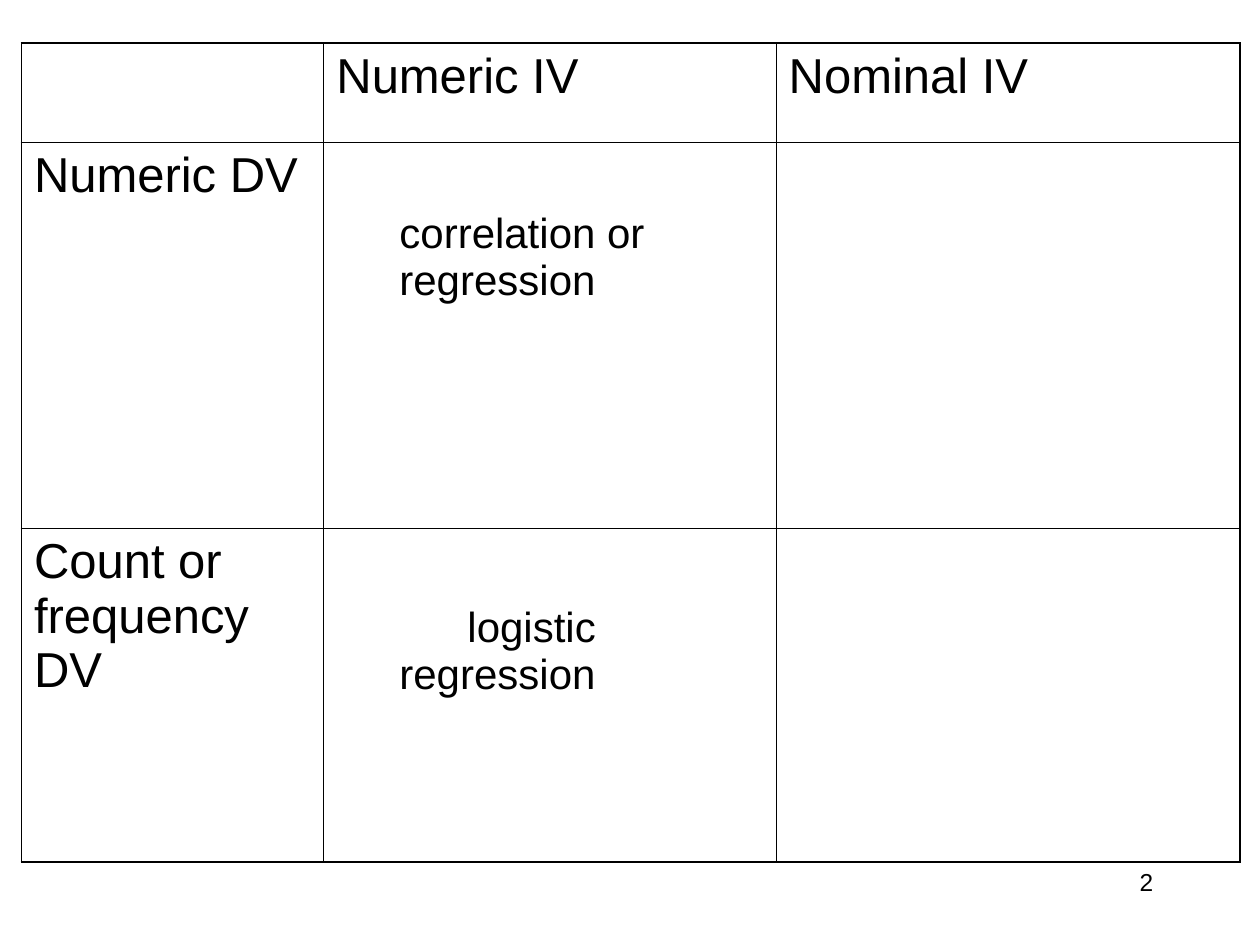
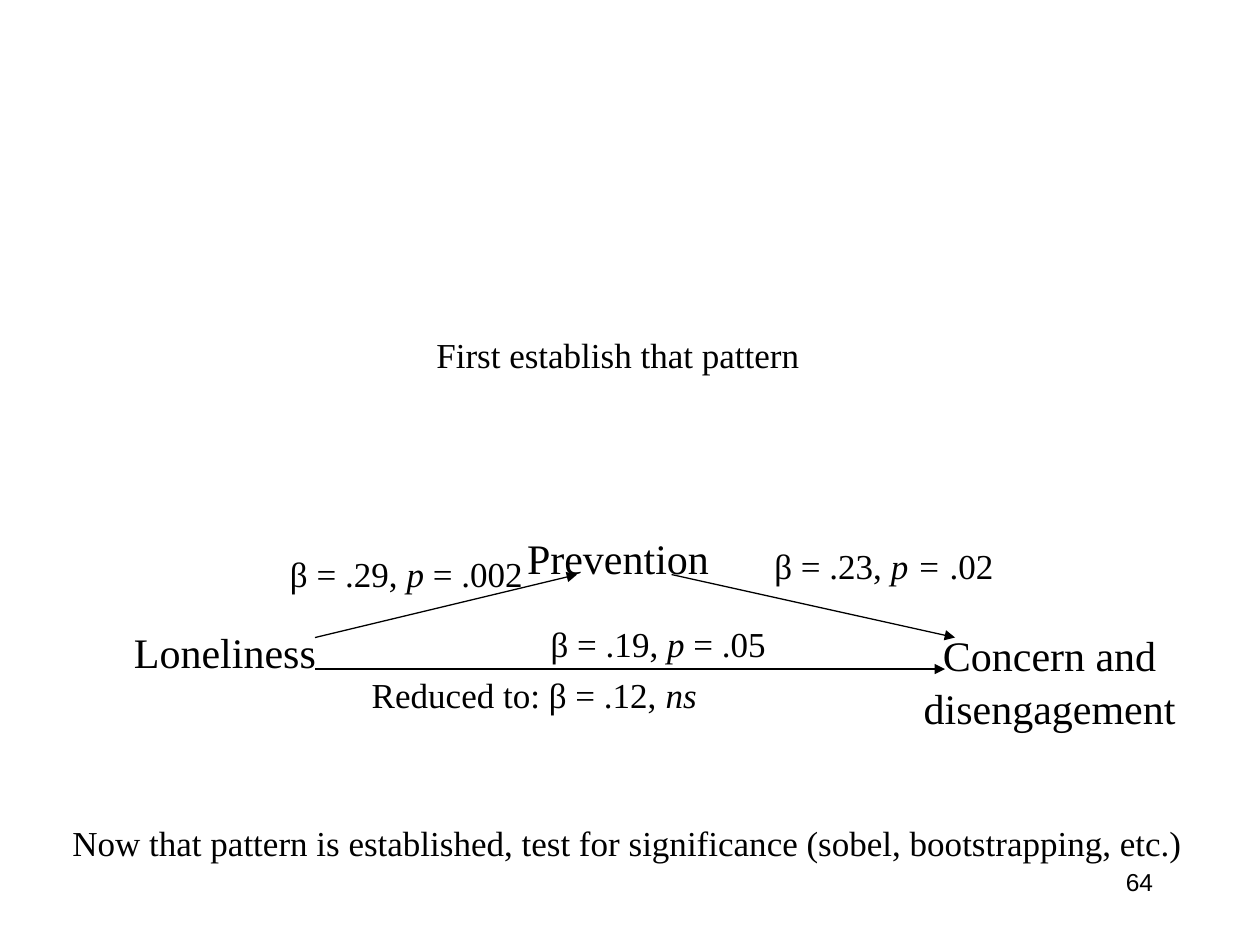
"""Build two statistics slides: a test-choice table and a mediation diagram."""
from dataclasses import dataclass

from lxml import etree
from pptx import Presentation
from pptx.dml.color import RGBColor
from pptx.enum.shapes import MSO_CONNECTOR
from pptx.enum.text import MSO_ANCHOR, PP_ALIGN
from pptx.oxml.ns import qn
from pptx.slide import Slide
from pptx.table import _Cell
from pptx.util import Emu, Pt

EMU_PER_PX = 9144
BLANK_LAYOUT = 6
STRAIGHT = MSO_CONNECTOR.STRAIGHT
TOP = MSO_ANCHOR.TOP
LEFT, CENTER, RIGHT = PP_ALIGN.LEFT, PP_ALIGN.CENTER, PP_ALIGN.RIGHT


@dataclass(frozen=True)
class Theme:
    """Colours, fonts, type sizes and line widths of the deck."""

    ink: str = "000000"
    paper: str = "FFFFFF"
    sans: str = "Arial"
    serif: str = "Times New Roman"
    heading: int = 28
    body: int = 24
    label: int = 20
    footer: int = 14
    serif_leading: float = 1.06
    arrow: float = 0.75
    inner_rule: float = 0.45
    outer_rule: float = 1.08


THEME = Theme()


@dataclass(frozen=True)
class Caption:
    """A text block; parts between asterisks are italic."""

    text: str
    left: int
    top: int
    width: int
    height: int = 44
    size: int = THEME.label
    font: str = THEME.serif
    align: PP_ALIGN = CENTER
    leading: float = THEME.serif_leading


@dataclass(frozen=True)
class Effect:
    """An arrow from one variable to another."""

    start: tuple[int, int]
    end: tuple[int, int]


@dataclass(frozen=True)
class Entry:
    """The content of one table cell."""

    text: str = ""
    size: int = THEME.heading
    margin_top: int = 5
    margin_left: int = 10
    first_indent: int = 0


COLUMN_WIDTHS = (240, 359, 368)
ROW_HEIGHTS = (79, 306, 265)
TEST_CHOICE = (
    (Entry(), Entry("Numeric IV"), Entry("Nominal IV")),
    (Entry("Numeric DV"),
     Entry("correlation or regression", THEME.body, 54, 60), Entry()),
    (Entry("Count or frequency DV"),
     Entry("logistic regression", THEME.body, 61, 60, 54), Entry()),
)

MEDIATION = (
    Caption("Prevention", 393, 415, 195, 50, THEME.body),
    Caption("Concern and disengagement", 717, 492, 232, 130, THEME.body),
    Caption("Loneliness", 84, 490, 189, 50, THEME.body),
    Caption("β = .29, *p* = .002", 213, 432, 219),
    Caption("Reduced to: β = .12, *ns*", 269, 528, 310),
    Caption("Now that pattern is established, test for significance "
            "(sobel, bootstrapping, etc.)", 0, 645, 996),
    Caption("β = .19, *p* = .05", 421, 487, 203),
    Caption("β = .23, *p = *.02", 600, 425, 203),
    Caption("First establish that pattern", 305, 258, 371),
)
EFFECTS = (
    Effect((250, 531), (750, 531)),
    Effect((250, 506), (458, 456)),
    Effect((533, 456), (758, 506)),
)


def px(length: int) -> Emu:
    """Turn px into EMU."""
    return Emu(length * EMU_PER_PX)


def apply(target: object, formats: dict[str, object]) -> None:
    """Set every attribute named in the formats."""
    for attribute, value in formats.items():
        setattr(target, attribute, value)


def write(paragraph, text: str, size: int, font: str) -> None:
    """Write text as runs, italic between asterisks."""
    for index, part in enumerate(text.split("*")):
        if part:
            run = paragraph.add_run()
            run.text = part
            apply(run.font, {"size": Pt(size), "name": font,
                             "italic": index % 2 == 1})
            run.font.color.rgb = RGBColor.from_string(THEME.ink)


def draw_caption(slide: Slide, caption: Caption) -> None:
    """Draw a text block."""
    frame = slide.shapes.add_textbox(
        px(caption.left), px(caption.top),
        px(caption.width), px(caption.height)).text_frame
    apply(frame, {"word_wrap": True, "vertical_anchor": TOP})
    paragraph = frame.paragraphs[0]
    apply(paragraph, {"alignment": caption.align,
                      "line_spacing": caption.leading})
    write(paragraph, caption.text, caption.size, caption.font)


def draw_page_number(slide: Slide, number: int) -> None:
    """Draw the page number at the lower right."""
    draw_caption(slide, Caption(str(number), 717, 683, 208, 50, THEME.footer,
                                THEME.sans, RIGHT, 1.0))


def draw_effect(slide: Slide, effect: Effect) -> None:
    """Draw an arrow with a triangular head."""
    arrow = slide.shapes.add_connector(
        STRAIGHT, *map(px, effect.start), *map(px, effect.end))
    arrow.line.width = Pt(THEME.arrow)
    arrow.line.color.rgb = RGBColor.from_string(THEME.ink)
    etree.SubElement(arrow.line._get_or_add_ln(), qn("a:tailEnd"),
                     type="triangle")
    etree.SubElement(arrow._element.spPr, qn("a:effectLst"))


def rule_cell(cell: _Cell, outer_sides: dict[str, bool]) -> None:
    """Rule the four sides of a cell, heavier on the outside."""
    properties = cell._tc.get_or_add_tcPr()
    for position, (side, is_outer) in enumerate(outer_sides.items()):
        width = THEME.outer_rule if is_outer else THEME.inner_rule
        border = etree.Element(qn(f"a:ln{side}"), w=str(Pt(width)))
        fill = etree.SubElement(border, qn("a:solidFill"))
        etree.SubElement(fill, qn("a:srgbClr"), val=THEME.ink)
        properties.insert(position, border)


def fill_cell(cell: _Cell, entry: Entry) -> None:
    """Write an entry into its cell."""
    cell.fill.solid()
    cell.fill.fore_color.rgb = RGBColor.from_string(THEME.paper)
    apply(cell, {"margin_left": px(entry.margin_left), "margin_right": px(10),
                 "margin_top": px(entry.margin_top), "margin_bottom": px(5),
                 "vertical_anchor": TOP})
    paragraph = cell.text_frame.paragraphs[0]
    paragraph.alignment = LEFT
    if entry.first_indent:
        paragraph._p.get_or_add_pPr().set("indent", str(px(entry.first_indent)))
    write(paragraph, entry.text, entry.size, THEME.sans)


def draw_test_choice(slide: Slide) -> None:
    """Draw the table of tests by variable type."""
    last_row, last_column = len(ROW_HEIGHTS) - 1, len(COLUMN_WIDTHS) - 1
    table = slide.shapes.add_table(
        len(ROW_HEIGHTS), len(COLUMN_WIDTHS), px(17), px(34),
        px(sum(COLUMN_WIDTHS)), px(sum(ROW_HEIGHTS))).table
    apply(table, {"first_row": False, "horz_banding": False})
    for column, width in zip(table.columns, COLUMN_WIDTHS):
        column.width = px(width)
    for row, height in zip(table.rows, ROW_HEIGHTS):
        row.height = px(height)
    for r, entries in enumerate(TEST_CHOICE):
        for c, entry in enumerate(entries):
            cell = table.cell(r, c)
            fill_cell(cell, entry)
            rule_cell(cell, {"L": c == 0, "R": c == last_column,
                             "T": r == 0, "B": r == last_row})


def main() -> None:
    """Build and save the deck."""
    deck = Presentation()
    apply(deck, {"slide_width": px(1000), "slide_height": px(750)})
    blank = deck.slide_layouts[BLANK_LAYOUT]

    choice = deck.slides.add_slide(blank)
    draw_test_choice(choice)
    draw_page_number(choice, 2)

    mediation = deck.slides.add_slide(blank)
    for effect in EFFECTS:
        draw_effect(mediation, effect)
    for caption in MEDIATION:
        draw_caption(mediation, caption)
    draw_page_number(mediation, 64)

    deck.save("out.pptx")


if __name__ == "__main__":
    main()
